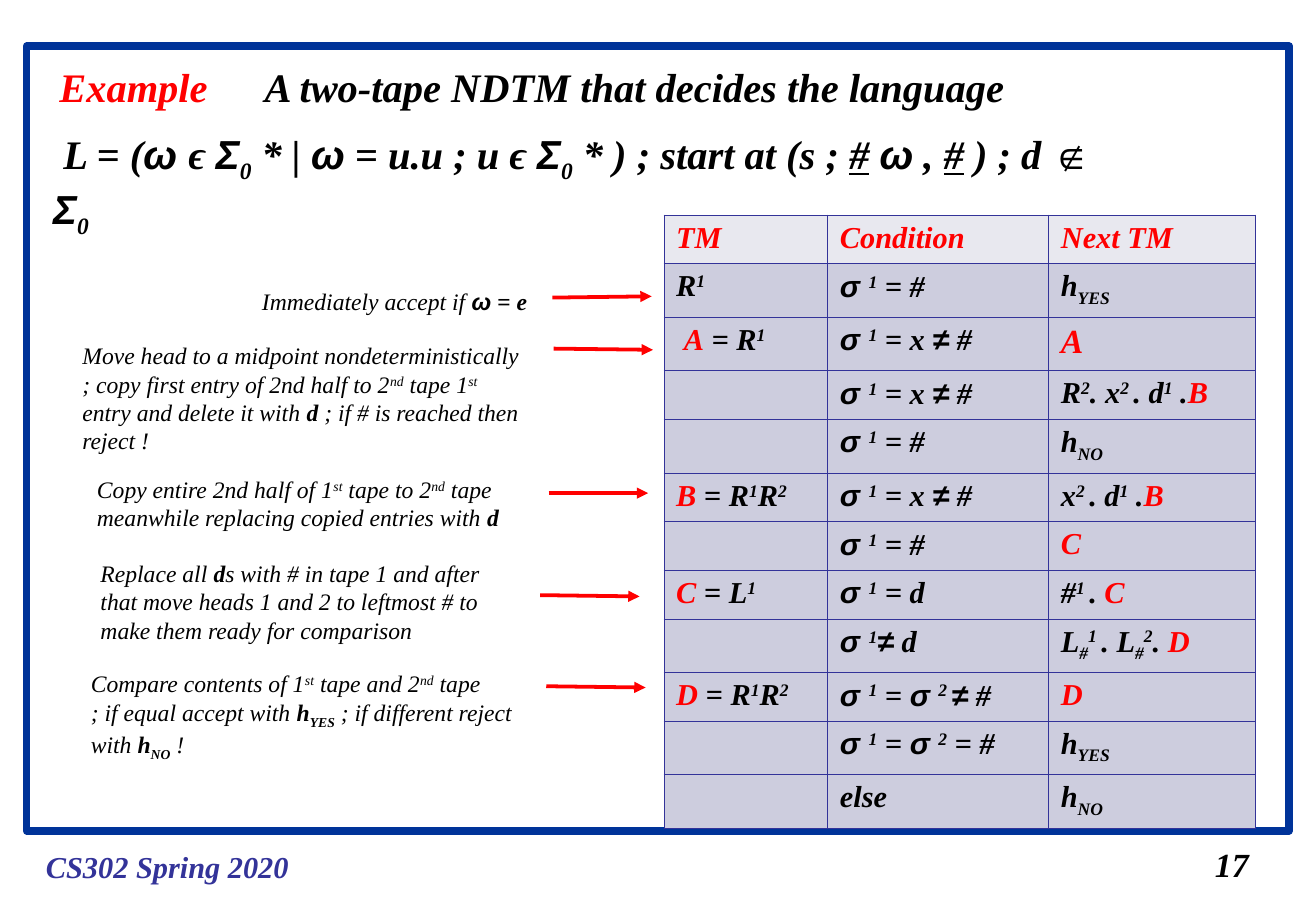
import lxml.etree
import pptx
import pptx.dml.color
import pptx.enum.shapes
import pptx.enum.text
import pptx.oxml.ns
import pptx.util

# Theme: colours, fonts and type sizes
theme = {
    "text": "000000", "accent": "FF0000", "frame": "003399", "rule": "333399",
    "header_fill": "E8E8EF", "body_fill": "CDCDDE",
    "font": "Times New Roman", "symbol_font": "Arial",
    "heading": 24, "large": 20, "table": 18, "note": 14,
}

presentation = pptx.Presentation()
presentation.slide_width = pptx.util.Inches(10.84)
presentation.slide_height = pptx.util.Inches(7.5)
slide = presentation.slides.add_slide(presentation.slide_layouts[5])

# Grid of 100 columns by 100 rows
column = presentation.slide_width / 100
row = presentation.slide_height / 100


def colour(name):
    return pptx.dml.color.RGBColor.from_string(theme[name])


def write(frame, markup, size, bold=True, color="text"):
    """Marks switch a style: ^ super, _ sub, ~ red, @ bold, $ symbol font, ` underline."""
    for number, line in enumerate(markup.split("\n")):
        paragraph = frame.add_paragraph() if number else frame.paragraphs[0]
        paragraph.alignment = pptx.enum.text.PP_ALIGN.LEFT
        font = paragraph.font
        font.name, font.size = theme["font"], pptx.util.Pt(theme[size])
        font.bold, font.italic = bold, True
        font.color.rgb = colour(color)
        active, piece = set(), ""
        for character in line + "\0":
            if character not in "^_~@$`\0":
                piece += character
                continue
            if piece:
                run = paragraph.add_run()
                run.text = piece
                if "$" in active:
                    run.font.name = theme["symbol_font"]
                if "~" in active:
                    run.font.color.rgb = colour("accent")
                if "@" in active:
                    run.font.bold = not bold
                if "`" in active:
                    run.font.underline = True
                if active & {"^", "_"}:
                    baseline = "30000" if "^" in active else "-25000"
                    run._r.get_or_add_rPr().set("baseline", baseline)
            active ^= {character}
            piece = ""


# Frame
frame = slide.shapes.add_shape(
    pptx.enum.shapes.MSO_SHAPE.RECTANGLE,
    int(2.03 * column), int(5.07 * row), int(95.94 * column), int(86.13 * row))
frame.shadow.inherit = False
frame.fill.background()
frame.line.color.rgb = colour("frame")
frame.line.width = pptx.util.Pt(4.5)

# Title
title = slide.shapes.title
title.left, title.top = int(19.19 * column), int(6.13 * row)
title.width, title.height = int(58.21 * column), int(6.67 * row)
title.text_frame.word_wrap = False
title.text_frame.auto_size = pptx.enum.text.MSO_AUTO_SIZE.NONE
title.text_frame.vertical_anchor = pptx.enum.text.MSO_ANCHOR.TOP
write(title.text_frame, "A two-tape NDTM that decides the language", "heading")

# Labels, formula and notes: left, top, width, height, wrap, markup, size, bold, colour
formula = (" L = ($ω $ϵ $Σ$_0_ * | $ω$ = u.u ; u ϵ $Σ$_0_ * ) ; "
           "start at (s ; `#` $ω$ , `#` ) ; d $∉ Σ$_0_")
texts = [
    (2.58, 92.4, 20.3, 5.33, False, "CS302 Spring 2020", "table", True, "rule"),
    (91.42, 92, 4.43, 5.87, False, "17", "large", True, "text"),
    (3.6, 6.13, 13.1, 6.67, False, "Example", "heading", True, "accent"),
    (3.14, 13.47, 83.49, 12.8, True, formula, "heading", True, "text"),
    (19, 30.8, 22.14, 4.53, True,
     "Immediately accept if @$ω$ = e@", "note", False, "text"),
    (5.35, 36.8, 35.24, 13.87, True,
     "Move head to a midpoint nondeterministically\n"
     "; copy first entry of 2nd half to 2^nd^ tape 1^st^ entry and delete it with "
     "@d @; if # is reached then reject !", "note", False, "text"),
    (6.46, 51.47, 32.47, 7.6, False,
     "Copy entire 2nd half of 1^st^ tape to 2^nd^ tape\n"
     "meanwhile replacing copied entries with @d@", "note", False, "text"),
    (6.73, 60.67, 32.66, 10.67, True,
     "Replace all @d@s with # in tape 1 and after that move heads 1 and 2 "
     "to leftmost # to make them ready for comparison", "note", False, "text"),
    (6, 72.8, 35.33, 11.6, True,
     "Compare contents of 1^st^ tape and 2^nd^ tape\n"
     "; if equal accept with @h_YES_@ ; if different reject with @h_NO_@ !",
     "note", False, "text"),
]
for left, top, width, height, wrap, markup, size, bold, color in texts:
    box = slide.shapes.add_textbox(
        int(left * column), int(top * row), int(width * column), int(height * row))
    box.text_frame.word_wrap = wrap
    write(box.text_frame, markup, size, bold, color)

# Transition table
transitions = [
    ("TM", "Condition", "Next TM"),
    ("R^1^", "$σ $^1^ = #", "h_YES_"),
    (" ~A~ = R^1^", "$σ $^1^ = x $≠$ #", "~A~"),
    ("", "$σ $^1^ = x $≠$ #", "R^2^. x^2 ^. d^1^ .~B~"),
    ("", "$σ $^1^ = #", "h_NO_"),
    ("~B ~= R^1^R^2^", "$σ $^1^ = x $≠$ #", "x^2 ^. d^1^ .~B~"),
    ("", "$σ $^1^ = #", "~C~"),
    ("~C ~= L^1^", "$σ $^1^ = d", "#^1 ^. ~C~"),
    ("", "$σ $^1^$≠$ d", "L_#_^1 ^. L_#_^2^. ~D~"),
    ("~D ~= R^1^R^2^", "$σ $^1^ = $σ $^2 ^$≠$ #", "~D~"),
    ("", "$σ $^1^ = $σ $^2^ = #", "h_YES_"),
    ("", "else", "h_NO_"),
]
column_widths = [12.45, 16.79, 15.68]
# Rows with a subscript or the large letter are taller
row_heights = [5.87 if "_" in cells[2] or cells[2] == "~A~" else 5.33
               for cells in transitions]
table = slide.shapes.add_table(
    len(transitions), len(column_widths), int(50.46 * column), int(23.6 * row),
    int(sum(column_widths) * column), int(sum(row_heights) * row)).table
for index, width in enumerate(column_widths):
    table.columns[index].width = int(width * column)
for row_index, cells in enumerate(transitions):
    table.rows[row_index].height = int(row_heights[row_index] * row)
    for column_index, markup in enumerate(cells):
        cell = table.cell(row_index, column_index)
        size = "large" if markup == "~A~" else "table"
        write(cell.text_frame, markup, size, True, "text" if row_index else "accent")
        properties = cell._tc.get_or_add_tcPr()
        for side in ("lnL", "lnR", "lnT", "lnB"):
            border = lxml.etree.SubElement(
                properties, pptx.oxml.ns.qn("a:" + side), w="5715")
            fill = lxml.etree.SubElement(border, pptx.oxml.ns.qn("a:solidFill"))
            lxml.etree.SubElement(fill, pptx.oxml.ns.qn("a:srgbClr"), val=theme["rule"])
        cell.fill.solid()
        cell.fill.fore_color.rgb = colour("body_fill" if row_index else "header_fill")

# Arrows from notes to table rows: left, start row, end row
arrow_length = 7.55
arrows = [(41.97, 32.67, 32.53), (42.07, 38.27, 38.4), (41.7, 54.13, 54.13),
          (41.05, 65.33, 65.47), (41.51, 75.33, 75.47)]
for left, start, end in arrows:
    arrow = slide.shapes.add_connector(
        pptx.enum.shapes.MSO_CONNECTOR.STRAIGHT, int(left * column), int(start * row),
        int((left + arrow_length) * column), int(end * row))
    arrow.line.color.rgb = colour("accent")
    arrow.line.width = pptx.util.Pt(2.25)
    lxml.etree.SubElement(
        arrow.line._get_or_add_ln(), pptx.oxml.ns.qn("a:tailEnd"), type="triangle")
    lxml.etree.SubElement(arrow._element.spPr, pptx.oxml.ns.qn("a:effectLst"))

presentation.save("out.pptx")
